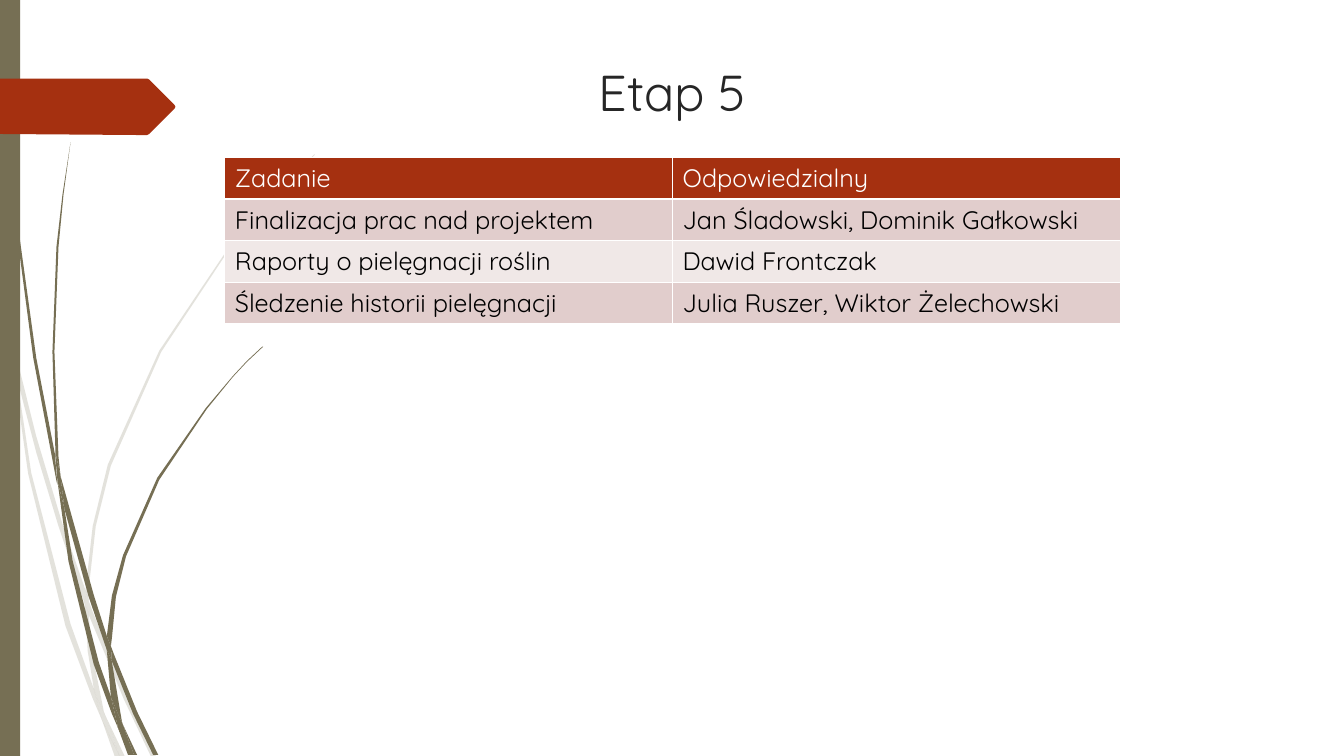
from dataclasses import dataclass

from lxml.etree import SubElement
from pptx import Presentation
from pptx.dml.color import RGBColor
from pptx.enum.shapes import MSO_SHAPE
from pptx.enum.text import MSO_ANCHOR, PP_ALIGN
from pptx.oxml.ns import qn
from pptx.shapes.base import BaseShape
from pptx.shapes.shapetree import GroupShapes, SlideShapes
from pptx.slide import Slide
from pptx.table import _Cell as Cell
from pptx.text.text import _Paragraph as Paragraph
from pptx.util import Inches, Pt

OLIVE = RGBColor(0x76, 0x6F, 0x54)
RUST = RGBColor(0xA5, 0x30, 0x10)
ROSE = RGBColor(0xE1, 0xCD, 0xCC)
PALE_ROSE = RGBColor(0xF0, 0xE8, 0xE7)
CHARCOAL = RGBColor(0x26, 0x26, 0x26)
BLACK = RGBColor(0, 0, 0)
WHITE = RGBColor(0xFF, 0xFF, 0xFF)

FONT = "Quicksand"
COLUMNS, ROWS = 13.33, 7.5
TABLE_COLUMN, TABLE_ROW = 4.44, 0.41

TASKS = [
    ("Zadanie", "Odpowiedzialny"),
    ("Finalizacja prac nad projektem", "Jan Śladowski, Dominik Gałkowski"),
    ("Raporty o pielęgnacji roślin", "Dawid Frontczak"),
    ("Śledzenie historii pielęgnacji", "Julia Ruszer, Wiktor Żelechowski"),
]

Outline = list[tuple[float, float]]


@dataclass(frozen=True)
class Tuft:
    """A group of grass blades, each outlined in grid columns and rows."""

    opacity: int
    blades: list[Outline]


PALE_TUFT = Tuft(20, [
    [(0.11, 3.5), (0.09, 3.22), (0, 2.82), (0, 2.99), (0.1, 3.44)],
    [(0.58, 5.22), (0.84, 5.99), (0.85, 5.86), (0.62, 5.2), (0.36, 4.33),
     (0.14, 3.45), (0.17, 3.76), (0.36, 4.49)],
    [(0.92, 6.07), (0.88, 5.96), (0.88, 6.1), (1.23, 6.94), (1.5, 7.51),
     (1.55, 7.51), (1.27, 6.92)],
    [(1.19, 7.51), (1.24, 7.51), (1.05, 7.11)],
    [(0.93, 6.83), (0.7, 6.19), (0.31, 4.69), (0.17, 3.76), (0.11, 3.5),
     (0.28, 4.7), (0.65, 6.21), (0.92, 6.93), (1.01, 7.14), (0.99, 7.07)],
    [(0.84, 5.99), (0.87, 6.46), (0.93, 6.83), (0.96, 6.92), (1.05, 7.11),
     (1.03, 7.06), (0.91, 6.46), (0.88, 6.1), (0.88, 6.08)],
    [(0.88, 5.84), (0.95, 5.22), (1.1, 4.62), (1.6, 3.49), (2.29, 2.45),
     (2.68, 1.98), (2.9, 1.75), (3.12, 1.54), (3.12, 1.53), (2.89, 1.75),
     (2.68, 1.97), (2.28, 2.44), (1.58, 3.48), (1.07, 4.61), (0.92, 5.22),
     (0.85, 5.84), (0.85, 5.86), (0.88, 5.96)],
    [(1.01, 7.14), (1.14, 7.51), (1.19, 7.51)],
    [(0.88, 6.08), (0.88, 6.1), (0.88, 5.96), (0.85, 5.86), (0.84, 5.99)],
    [(0.96, 6.92), (0.93, 6.83), (0.99, 7.07), (1.01, 7.14), (1.19, 7.51),
     (1.05, 7.11)],
])

DARK_TUFT = Tuft(100, [
    [(0.07, 1.1), (0.17, 2.33), (0.33, 3.55), (0.56, 4.77), (0.57, 4.81),
     (0.55, 4.57), (0.55, 4.53), (0.36, 3.55), (0.19, 2.32), (0.08, 1.09),
     (0.05, 0.48), (0.04, 0), (0.03, 0), (0.04, 0.48)],
    [(0.88, 5.92), (1.06, 6.45), (1.06, 6.33), (1.06, 6.31), (0.93, 5.9),
     (0.6, 4.72), (0.64, 5.05)],
    [(1.13, 6.49), (1.1, 6.41), (1.11, 6.56), (1.32, 7.08), (1.52, 7.49),
     (1.57, 7.49), (1.36, 7.06)],
    [(1.1, 6.91), (0.98, 6.57), (0.72, 5.56), (0.64, 5.05), (0.57, 4.77),
     (0.68, 5.57), (0.93, 6.59), (1.11, 7.08), (1.17, 7.22), (1.16, 7.17)],
    [(0.6, 4.72), (0.58, 4.53), (0.54, 3.49), (0.58, 2.45), (0.63, 1.93),
     (0.7, 1.41), (0.62, 1.93), (0.56, 2.45), (0.52, 3.49), (0.55, 4.49)],
    [(1.33, 7.49), (1.36, 7.49), (1.22, 7.19)],
    [(0.57, 4.77), (0.64, 5.05), (0.6, 4.72), (0.55, 4.49), (0.55, 4.53)],
    [(1.11, 6.33), (1.15, 5.92), (1.25, 5.52), (1.58, 4.76), (2.05, 4.06),
     (2.31, 3.74), (2.45, 3.59), (2.61, 3.44), (2.6, 3.44), (2.45, 3.58),
     (2.31, 3.73), (2.04, 4.05), (1.56, 4.74), (1.22, 5.51), (1.11, 5.91),
     (1.06, 6.31), (1.1, 6.41)],
    [(1.17, 7.22), (1.27, 7.49), (1.31, 7.49)],
    [(1.06, 6.45), (1.1, 6.91), (1.16, 7.06), (1.22, 7.19), (1.21, 7.16),
     (1.11, 6.56), (1.09, 6.51)],
    [(1.06, 6.45), (1.09, 6.51), (1.11, 6.56), (1.1, 6.41), (1.06, 6.31),
     (1.06, 6.33)],
    [(1.16, 7.06), (1.1, 6.91), (1.16, 7.17), (1.17, 7.22), (1.3, 7.49),
     (1.33, 7.49), (1.22, 7.19)],
])

RIBBON = [(1.73, 1.08), (1.48, 1.33), (1.46, 1.34), (1.36, 1.34), (0, 1.33),
          (0, 0.78), (1.36, 0.78), (1.46, 0.78), (1.48, 0.79), (1.73, 1.04),
          (1.74, 1.06)]


def paint(shape: BaseShape, color: RGBColor, opacity: int = 100) -> None:
    """Fill a shape flatly, without outline or shadow."""
    shape.shadow.inherit = False
    shape.line.fill.background()
    shape.fill.solid()
    shape.fill.fore_color.rgb = color
    if opacity < 100:
        tint = shape.element.spPr.find(f"{qn('a:solidFill')}/{qn('a:srgbClr')}")
        SubElement(tint, qn("a:alpha"), val=str(opacity * 1000))


def draw_outline(shapes: SlideShapes | GroupShapes, outline: Outline,
                 color: RGBColor, opacity: int = 100) -> None:
    """Draw a closed, filled outline."""
    start, *others = [(Inches(column), Inches(row)) for column, row in outline]
    builder = shapes.build_freeform(*start)
    builder.add_line_segments(others, close=True)
    paint(builder.convert_to_shape(), color, opacity)


def draw_tuft(slide: Slide, tuft: Tuft) -> None:
    """Draw the blades of a tuft as one group."""
    group = slide.shapes.add_group_shape()
    for blade in tuft.blades:
        draw_outline(group.shapes, blade, OLIVE, tuft.opacity)


def draw_side_bar(slide: Slide) -> None:
    """Draw the bar along the left edge of the slide."""
    place = map(Inches, (0, 0, 0.2, ROWS))
    paint(slide.shapes.add_shape(MSO_SHAPE.RECTANGLE, *place), OLIVE)


def format_text(para: Paragraph, size: int, color: RGBColor) -> None:
    """Format every run of a paragraph."""
    for span in para.runs:
        span.font.name = FONT
        span.font.size = Pt(size)
        span.font.bold = False
        span.font.color.rgb = color


def draw_title(slide: Slide, text: str) -> None:
    """Place the slide title."""
    title = slide.shapes.title
    title.left, title.top, title.width, title.height = map(Inches, (5.77, 0.56, 1.8, 1.38))
    title.text_frame.text = text
    title.text_frame.vertical_anchor = MSO_ANCHOR.TOP
    para = title.text_frame.paragraphs[0]
    para.alignment = PP_ALIGN.CENTER
    format_text(para, 36, CHARCOAL)


def draw_borders(cell: Cell) -> None:
    """Rule a cell in white on all four sides."""
    properties = cell._tc.get_or_add_tcPr()
    for side in ("lnL", "lnR", "lnT", "lnB"):
        line = SubElement(properties, qn(f"a:{side}"), w=str(Pt(1)))
        fill = SubElement(line, qn("a:solidFill"))
        SubElement(fill, qn("a:srgbClr"), val=str(WHITE))


def draw_table(slide: Slide) -> None:
    """Draw the tasks with a header and alternating row fills."""
    row_count, column_count = len(TASKS), len(TASKS[0])
    place = (2.23, 1.56, TABLE_COLUMN * column_count, TABLE_ROW * row_count)
    table = slide.shapes.add_table(row_count, column_count, *map(Inches, place)).table
    for row, texts in enumerate(TASKS):
        row_fill = RUST if row == 0 else (PALE_ROSE, ROSE)[row % 2]
        for column, text in enumerate(texts):
            cell = table.cell(row, column)
            cell.text_frame.text = text
            format_text(cell.text_frame.paragraphs[0], 18, BLACK if row else WHITE)
            draw_borders(cell)
            cell.fill.solid()
            cell.fill.fore_color.rgb = row_fill


def main() -> None:
    """Build and save the deck."""
    deck = Presentation()
    deck.slide_width, deck.slide_height = Inches(COLUMNS), Inches(ROWS)
    page = deck.slides.add_slide(deck.slide_layouts[5])
    for tuft in (PALE_TUFT, DARK_TUFT):
        draw_tuft(page, tuft)
    draw_side_bar(page)
    draw_outline(page.shapes, RIBBON, RUST)
    draw_title(page, "Etap 5")
    draw_table(page)
    deck.save("out.pptx")


if __name__ == "__main__":
    main()
